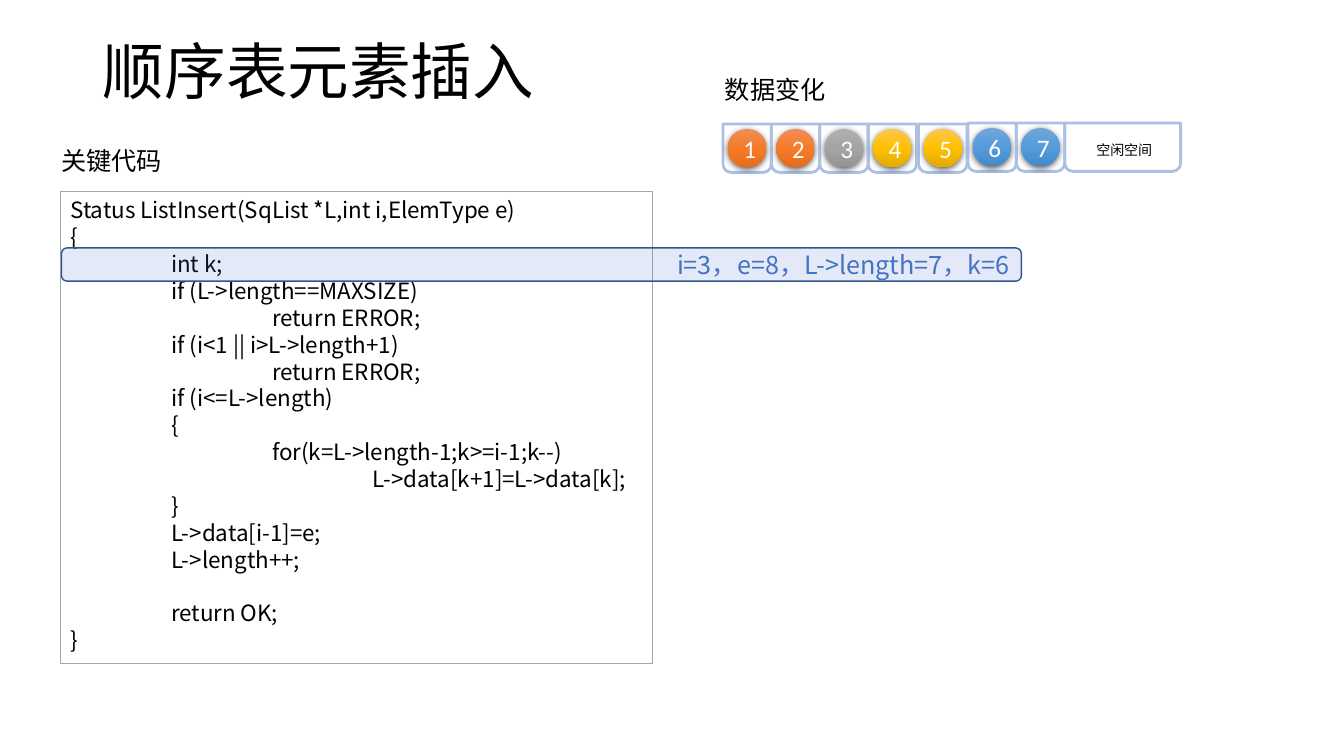
from lxml import etree
from pptx import Presentation
from pptx.dml.color import RGBColor
from pptx.enum.shapes import MSO_SHAPE
from pptx.enum.text import MSO_ANCHOR, PP_ALIGN
from pptx.oxml import parse_xml
from pptx.oxml.ns import nsdecls, qn
from pptx.util import Inches, Pt

RECT, ROUND = MSO_SHAPE.RECTANGLE, MSO_SHAPE.ROUNDED_RECTANGLE
CELL, OVAL = MSO_SHAPE.ROUND_2_SAME_RECTANGLE, MSO_SHAPE.OVAL
TOP, MIDDLE = MSO_ANCHOR.TOP, MSO_ANCHOR.MIDDLE
LEFT, CENTER, RIGHT = PP_ALIGN.LEFT, PP_ALIGN.CENTER, PP_ALIGN.RIGHT
CJK = "Noto Sans CJK SC"

CODE = """Status ListInsert(SqList *L,int i,ElemType e)
{
\tint k;
\tif (L->length==MAXSIZE)
\t\treturn ERROR;
\tif (i<1 || i>L->length+1)
\t\treturn ERROR;
\tif (i<=L->length)
\t{
\t\tfor(k=L->length-1;k>=i-1;k--)
\t\t\tL->data[k+1]=L->data[k];
\t}
\tL->data[i-1]=e;
\tL->length++;
\treturn OK;
}"""

ORANGE = ("F18C57", "F67B28", "E56C19")
GRAY = ("AFAFAF", "A5A5A5", "939393")
YELLOW = ("FFC64B", "FFC000", "E3AB00")
BLUE = ("71A6DB", "559BDB", "448ACA")
# Left and top of each list cell, with the gradient of its ball
CELLS = [(7.17, 1.23, ORANGE), (7.65, 1.23, ORANGE), (8.13, 1.23, GRAY),
         (8.61, 1.23, YELLOW), (9.11, 1.23, YELLOW), (9.6, 1.22, BLUE),
         (10.08, 1.22, BLUE)]


def write(sp, text, size, color="000000", font=CJK, align=LEFT, anchor=TOP, wrap=True):
    """Fill a shape with text in one format and return its text frame."""
    tf = sp.text_frame
    tf.text = text
    tf.word_wrap, tf.vertical_anchor = wrap, anchor
    for p in tf.paragraphs:
        p.alignment = align
        for r in p.runs:
            for name, value in {"size": Pt(size), "name": font}.items():
                setattr(r.font, name, value)
            r.font.color.rgb = RGBColor.from_string(color)
            etree.SubElement(r.font._element, qn("a:ea"), typeface=font)
    return tf


def add_shape(kind, box, fill=None, line=None, width=1):
    """Add a flat preset shape with an optional fill and outline."""
    sp = s.shapes.add_shape(kind, *map(Inches, box))
    sp.shadow.inherit = False
    for part, color in ((sp.fill, fill), (sp.line.fill, line)):
        if color:
            part.solid()
            part.fore_color.rgb = RGBColor.from_string(color)
        else:
            part.background()
    if line:
        sp.line.width = Pt(width)
    return sp


prs = Presentation()
prs.slide_width, prs.slide_height = Inches(13.33), Inches(7.5)
s = prs.slides.add_slide(prs.slide_layouts[5])

title = s.shapes.title
for name, value in zip(("left", "top", "width", "height"), (0.92, 0.01, 11.5, 1.45)):
    setattr(title, name, Inches(value))
tf = write(title, "顺序表元素插入", 44, anchor=MIDDLE)
tf.paragraphs[0].line_spacing = 0.9

# Code listing with one-inch tabs and a gap before the return statement
code = add_shape(RECT, (0.6, 1.9, 5.87, 4.68), "FFFFFF", "A5A5A5")
tf = write(code, CODE, 16)
for p in tf.paragraphs:
    p._p.get_or_add_pPr().set("defTabSz", str(Inches(1)))
tf.paragraphs[-2].space_before = Pt(19.2)

# Current line and its variable values
current = add_shape(ROUND, (0.61, 2.46, 9.52, 0.33), "4472C4", "325491")
etree.SubElement(current.fill._xPr.find(".//" + qn("a:srgbClr")), qn("a:alpha"), val="15000")
write(current, "i=3，e=8，L->length=7，k=6", 18, "4472C4", align=RIGHT, anchor=MIDDLE)

for text, box in (("关键代码", (0.51, 1.39, 1.25, 0.4)), ("数据变化", (7.09, 0.69, 1.21, 0.4))):
    write(s.shapes.add_textbox(*map(Inches, box)), text, 18, wrap=False)

# Sequential list: numbered balls in cells, then the free space
for number, (x, y, stops) in enumerate(CELLS, 1):
    cell = add_shape(CELL, (x, y, 0.48, 0.48), line="ABC0E4", width=2)
    cell.rotation = 180
    ball = add_shape(OVAL, (x + 0.05, y + 0.05, 0.38, 0.38), stops[1])
    stop_xml = "".join(f'<a:gs pos="{i * 50000}"><a:srgbClr val="{c}"/></a:gs>'
                       for i, c in enumerate(stops))
    spPr = ball._element.spPr
    spPr.replace(spPr.find(qn("a:solidFill")), parse_xml(
        f'<a:gradFill {nsdecls("a")} rotWithShape="1"><a:gsLst>{stop_xml}</a:gsLst>'
        '<a:lin ang="5400000" scaled="0"/></a:gradFill>'))
    spPr.find(qn("a:effectLst")).append(parse_xml(
        f'<a:outerShdw {nsdecls("a")} blurRad="{Pt(4.5)}" dist="{Pt(1.5)}" dir="5400000" '
        'algn="ctr" rotWithShape="0"><a:srgbClr val="000000"><a:alpha val="63000"/>'
        '</a:srgbClr></a:outerShdw>'))
    write(ball, str(number), 18, "FFFFFF", "Calibri", CENTER, MIDDLE)

free = add_shape(CELL, (10.56, 1.22, 1.15, 0.48), line="ABC0E4", width=2)
free.rotation = 180
label = s.shapes.add_textbox(*map(Inches, (10.59, 1.35, 1.12, 0.27)))
write(label, "空闲空间", 10, align=CENTER)

prs.save("out.pptx")
